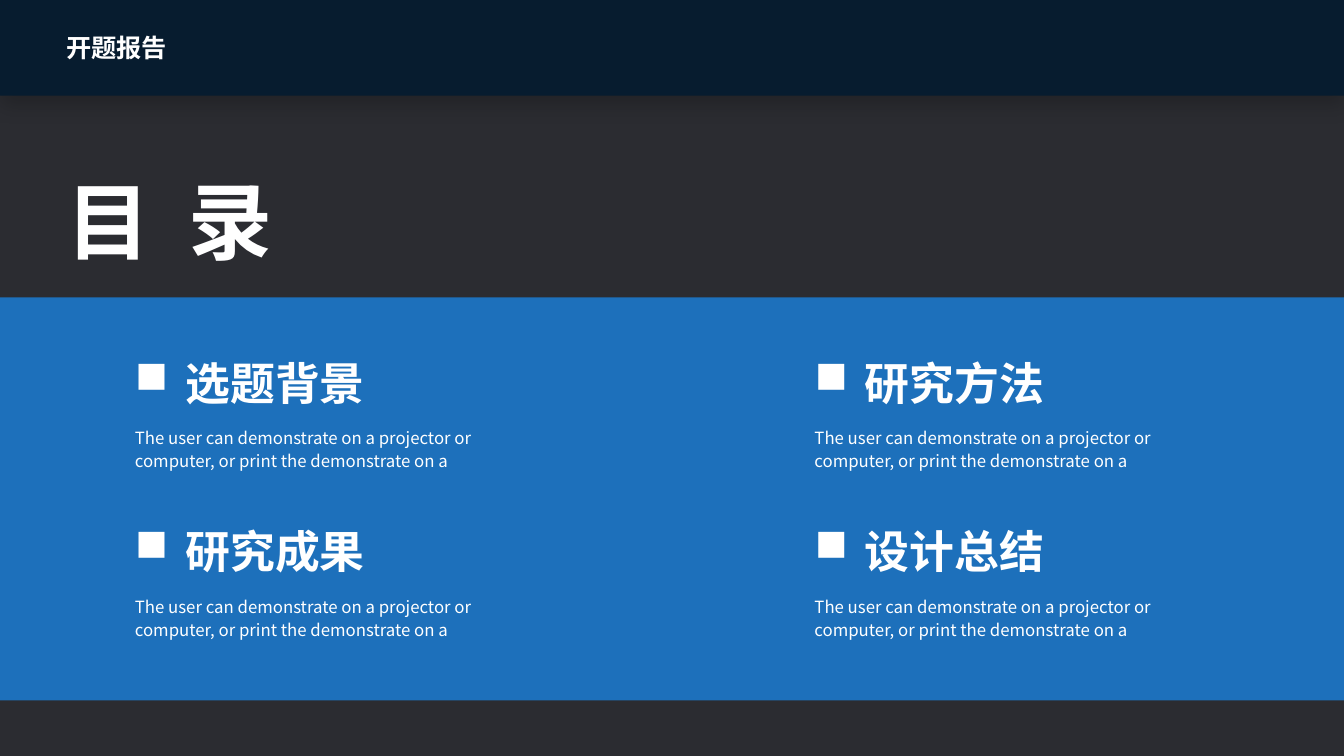
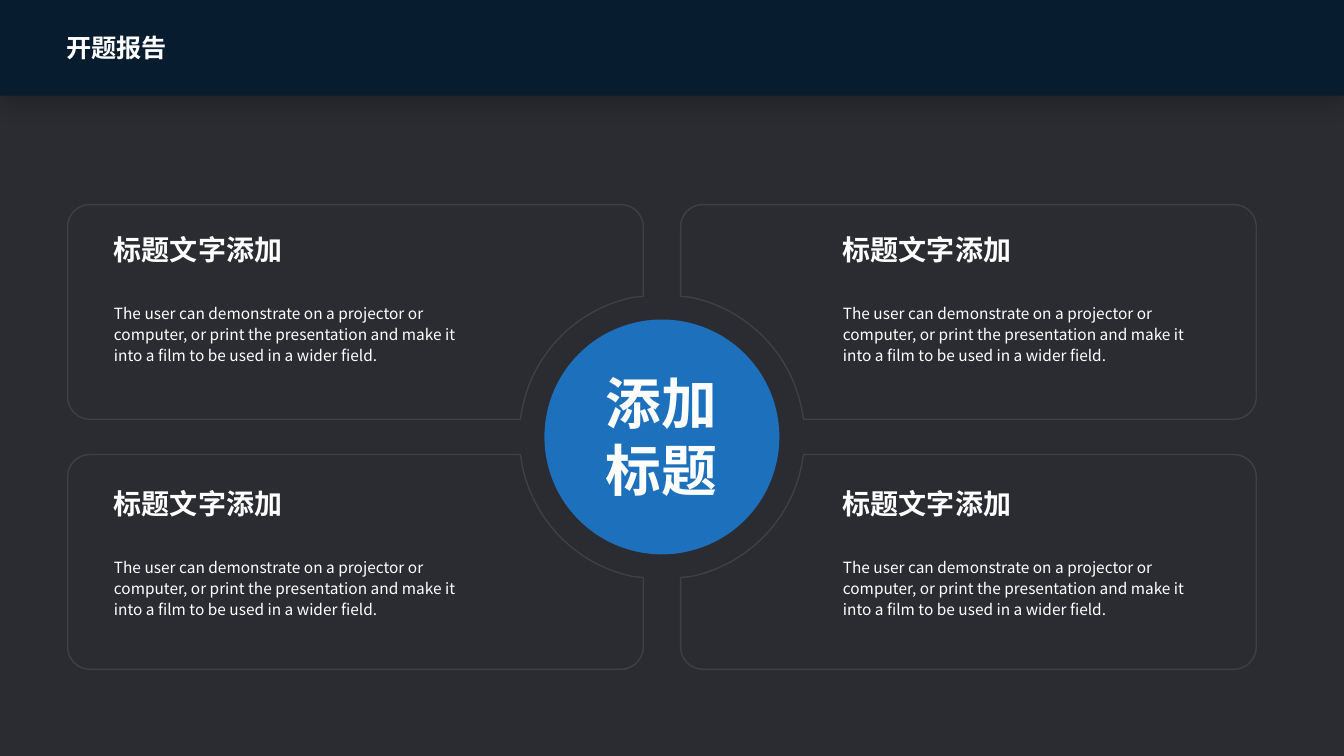
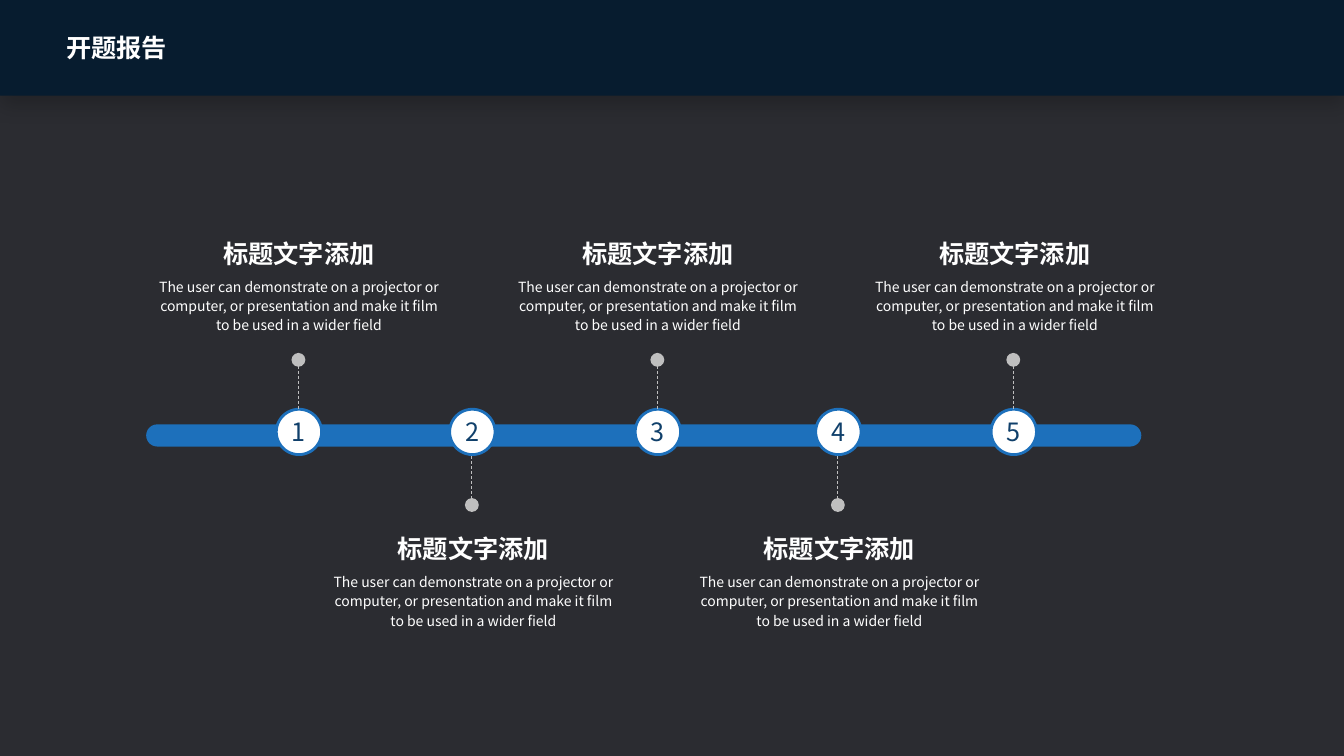
from itertools import product

from lxml.etree import Element, SubElement
from pptx import Presentation
from pptx.dml.color import RGBColor
from pptx.enum.dml import MSO_LINE
from pptx.enum.shapes import MSO_CONNECTOR, MSO_SHAPE
from pptx.enum.text import MSO_ANCHOR, MSO_AUTO_SIZE, PP_ALIGN
from pptx.oxml.ns import qn
from pptx.util import Pt

PX = 9144  # EMU per px, 100 px to the inch
WIDTH, HEIGHT = 1333, 750
FONT = "Noto Sans CJK SC"
COLORS = {
    "background": "2B2C31",
    "band": "071C2F",
    "accent": "1D70BB",
    "number": "10406B",
    "frame": "404040",
    "leader": "BFBFBF",
    "white": "FFFFFF",
    "shadow": "000000",
}
BODY_SPACING = 1.14
ITEM_TITLE = "标题文字添加"
AGENDA = ("选题背景", "研究方法", "研究成果", "设计总结")
AGENDA_BODY = "The user can demonstrate on a projector or computer, or print the demonstrate on a"
CARD_BODY = ("The user can demonstrate on a projector or computer, or print the presentation "
             "and make it into a film to be used in a wider field.")
STEP_BODY = ("The user can demonstrate on a projector or computer, or presentation "
             "and make it film to be used in a wider field")

# Lower right card frame, measured from the middle of the ring:
# each step lists its end point, after two control points if it is a curve
FRAME_STEPS = (
    [(141, 18)],
    [(568, 18)],
    [(580, 18), (590, 28), (590, 40)],
    [(590, 209)],
    [(590, 221), (580, 231), (568, 231)],
    [(41, 231)],
    [(29, 231), (19, 221), (19, 209)],
    [(19, 140)],
    [(29, 139)],
    [(84, 128), (128, 84), (139, 29)],
)


def color(name):
    return RGBColor.from_string(COLORS[name])


def emu(*lengths):
    return [length * PX for length in lengths]


def style_paragraph(paragraph, size, bold=False, align=None, spacing=None,
                    ink="white", tracking=None):
    font = paragraph.font
    font.size, font.bold, font.name = Pt(size), bold, FONT
    font.color.rgb = color(ink)
    properties = paragraph._p.pPr.find(qn("a:defRPr"))
    SubElement(properties, qn("a:ea"), typeface=FONT)
    if tracking:
        properties.set("spc", str(tracking))
    if align is not None:
        paragraph.alignment = align
    if spacing:
        paragraph.line_spacing = spacing


def add_bullet(paragraph, indent):
    properties = paragraph._p.get_or_add_pPr()
    properties.set("marL", str(indent * PX))
    properties.set("indent", str(-indent * PX))
    # In this symbol font the letter n is a solid square
    SubElement(properties, qn("a:buFont"), typeface="Wingdings", pitchFamily="2", charset="2")
    SubElement(properties, qn("a:buChar"), char="n")


def clear_insets(frame):
    frame.margin_left = frame.margin_top = frame.margin_right = frame.margin_bottom = 0


def add_text(slide, box, lines, size, inset=True, wrap=True, bullet_indent=None, **style):
    frame = slide.shapes.add_textbox(*emu(*box)).text_frame
    frame.word_wrap = wrap
    frame.auto_size = MSO_AUTO_SIZE.SHAPE_TO_FIT_TEXT
    if not inset:
        clear_insets(frame)
    frame.text = lines
    for paragraph in frame.paragraphs:
        if bullet_indent:
            add_bullet(paragraph, bullet_indent)
        style_paragraph(paragraph, size, **style)


def paint(shape, fill=None, line=None, line_width=1):
    shape.shadow.inherit = False
    if fill:
        shape.fill.solid()
        shape.fill.fore_color.rgb = color(fill)
    else:
        shape.fill.background()
    if line:
        shape.line.color.rgb = color(line)
        shape.line.width = Pt(line_width)
    else:
        shape.line.fill.background()


def add_shape(slide, kind, box, fill, **outline):
    shape = slide.shapes.add_shape(kind, *emu(*box))
    paint(shape, fill, **outline)
    return shape


def add_drop_shadow(shape):
    effects = shape._element.spPr.find(qn("a:effectLst"))
    shadow = SubElement(effects, qn("a:outerShdw"), blurRad=str(Pt(14)), dist=str(Pt(6)),
                        dir="5400000", algn="t", rotWithShape="0")
    tint = SubElement(shadow, qn("a:srgbClr"), val=COLORS["shadow"])
    SubElement(tint, qn("a:alpha"), val="20000")


def add_leader(slide, x, dot_y, marker_y):
    leader = slide.shapes.add_connector(MSO_CONNECTOR.STRAIGHT, *emu(x, dot_y, x, marker_y))
    leader.line.color.rgb = color("leader")
    leader.line.width = Pt(0.5)
    leader.line.dash_style = MSO_LINE.DASH
    SubElement(leader.line._get_or_add_ln(), qn("a:headEnd"), type="oval", w="lg", len="lg")
    SubElement(leader._element.spPr, qn("a:effectLst"))


def add_outline(slide, steps, line):
    """Draw a closed outline of lines and curves."""
    ends = [emu(*step[-1]) for step in steps]
    builder = slide.shapes.build_freeform(*ends[0])
    builder.add_line_segments(ends[1:], close=True)
    shape = builder.convert_to_shape()
    paint(shape, line=line)
    # Turn the segments that have control points into curves
    segments = list(shape._element.iter(qn("a:lnTo")))
    for segment, step in zip(segments, steps[1:]):
        if len(step) == 1:
            continue
        segment.tag = qn("a:cubicBezTo")
        for position, control in enumerate(step[:-1]):
            x, y = emu(*control)
            segment.insert(position, Element(qn("a:pt"), x=str(x - shape.left),
                                             y=str(y - shape.top)))


def add_slide(presentation):
    slide = presentation.slides.add_slide(presentation.slide_layouts[6])
    slide.background.fill.solid()
    slide.background.fill.fore_color.rgb = color("background")
    return slide


def add_header(slide):
    band = add_shape(slide, MSO_SHAPE.RECTANGLE, (0, 0, WIDTH, 95), "band")
    add_drop_shadow(band)
    add_text(slide, (56, 27, 121, 40), "开题报告", 18, wrap=False, bold=True)


def build_agenda(presentation):
    slide = add_slide(presentation)
    add_shape(slide, MSO_SHAPE.RECTANGLE, (0, 295, WIDTH, 400), "accent")
    add_header(slide)
    # Wide letter spacing sets the two characters apart
    add_text(slide, (56, 149, 273, 116), "目 录", 60, bold=True,
             spacing=BODY_SPACING, tracking=670)
    for title, (y, x) in zip(AGENDA, product((348, 515), (124, 798))):
        add_text(slide, (x, y, 278, 64), title, 32, bold=True, bullet_indent=50)
        add_text(slide, (x, y + 69, 410, 56), AGENDA_BODY, 12, spacing=BODY_SPACING)


def build_cards(presentation):
    slide = add_slide(presentation)
    add_header(slide)

    # Disc in the middle
    add_shape(slide, MSO_SHAPE.OVAL, (540, 317, 233, 233), "accent")
    add_text(slide, (593, 366, 126, 134), "添加\n标题", 39.8, inset=False,
             bold=True, align=PP_ALIGN.CENTER)

    # Four mirrored frames, each with its side and the centre it is measured from
    rows, columns = ((-1, 434), (1, 433)), ((-1, 657), (1, 656))
    for (side_y, center_y), (side_x, center_x) in product(rows, columns):
        steps = [[(center_x + side_x * x, center_y + side_y * y) for x, y in step]
                 for step in FRAME_STEPS]
        add_outline(slide, steps, "frame")

    # Card texts
    for y, x in product((231, 483), (113, 836)):
        add_text(slide, (x, y + 68, 362, 63), CARD_BODY, 11, inset=False, spacing=BODY_SPACING)
        add_text(slide, (x, y, 204, 34), ITEM_TITLE, 20, inset=False, bold=True)


def add_marker(slide, x, number):
    marker = add_shape(slide, MSO_SHAPE.OVAL, (x - 22, 406, 45, 45), "white",
                       line="accent", line_width=2)
    frame = marker.text_frame
    clear_insets(frame)
    frame.word_wrap = False
    frame.vertical_anchor = MSO_ANCHOR.MIDDLE
    frame.text = str(number)
    style_paragraph(frame.paragraphs[0], 18, align=PP_ALIGN.CENTER, ink="number")


def build_timeline(presentation):
    slide = add_slide(presentation)
    add_header(slide)
    bar = add_shape(slide, MSO_SHAPE.ROUNDED_RECTANGLE, (145, 421, 987, 22), "accent")
    bar.adjustments[0] = 0.5

    # Odd steps stand above the bar, even ones below it
    above, below = (357, 406, 232, 269), (501, 451, 524, 562)
    centers = ((296, 296), (468, 469), (652, 652), (831, 832), (1005, 1006))
    for number, (marker_x, text_x) in enumerate(centers, start=1):
        dot_y, marker_y, title_y, body_y = above if number % 2 else below
        add_marker(slide, marker_x, number)
        add_leader(slide, marker_x, dot_y, marker_y)
        add_text(slide, (text_x - 116, title_y, 233, 40), ITEM_TITLE, 18, bold=True,
                 align=PP_ALIGN.CENTER)
        add_text(slide, (text_x - 151, body_y, 303, 68), STEP_BODY, 10,
                 align=PP_ALIGN.CENTER, spacing=BODY_SPACING)


def main():
    presentation = Presentation()
    presentation.slide_width, presentation.slide_height = emu(WIDTH, HEIGHT)
    build_agenda(presentation)
    build_cards(presentation)
    build_timeline(presentation)
    presentation.save("out.pptx")


if __name__ == "__main__":
    main()
